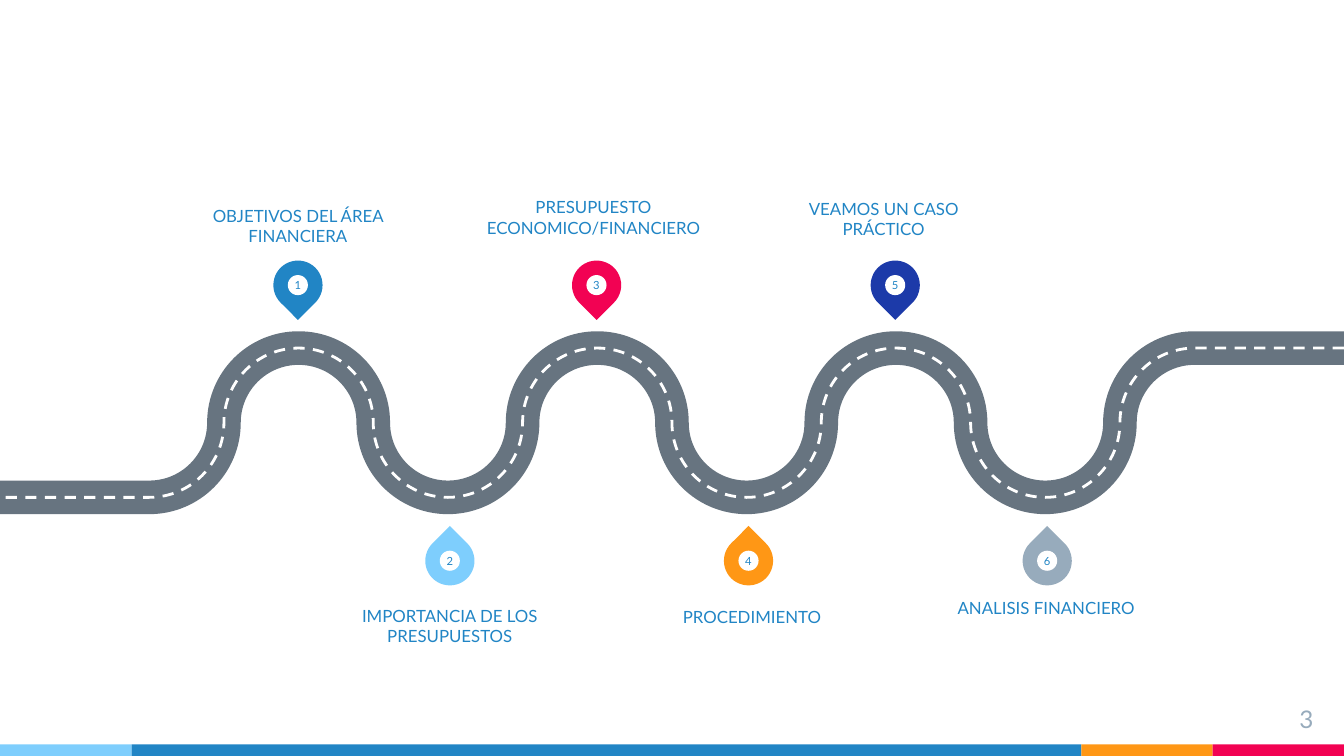
from typing import NamedTuple

from lxml.etree import Element, SubElement
from pptx import Presentation
from pptx.dml.color import RGBColor
from pptx.enum.dml import MSO_LINE
from pptx.enum.shapes import MSO_SHAPE
from pptx.enum.text import MSO_ANCHOR, PP_ALIGN
from pptx.oxml.ns import qn
from pptx.util import Cm, Pt

BLUE = RGBColor(0x21, 0x85, 0xC5)
SKY = RGBColor(0x7E, 0xCE, 0xFD)
ORANGE = RGBColor(0xFF, 0x97, 0x15)
PINK = RGBColor(0xF2, 0x02, 0x53)
NAVY = RGBColor(0x1C, 0x3A, 0xA9)
STEEL = RGBColor(0x97, 0xAB, 0xBC)
ASPHALT = RGBColor(0x67, 0x74, 0x80)
WHITE = RGBColor(0xFF, 0xFF, 0xFF)

FONT = "Lato"
WIDTH, HEIGHT = 25.4, 14.29
BAR_HEIGHT = 0.22

# Road: quarter turns between two straight ends
RADIUS = WIDTH / 18
ROAD_TOP = 6.58
TURNS = 14
BEZIER = 0.5523  # handle length of a quarter circle

# Pins
PIN, DOT = 0.93, 0.38
FIRST_PIN_X = 5.63
PIN_STEP = 2 * RADIUS


class Stop(NamedTuple):
    label: str
    color: RGBColor
    left: float
    top: float
    width: float = 3.58
    anchor: MSO_ANCHOR = MSO_ANCHOR.TOP


class Bar(NamedTuple):
    color: RGBColor
    width: float


STOPS = [
    Stop("OBJETIVOS DEL ÁREA FINANCIERA", BLUE, 3.84, 3.18, anchor=MSO_ANCHOR.BOTTOM),
    Stop("IMPORTANCIA DE LOS PRESUPUESTOS", SKY, 6.71, 10.74, anchor=MSO_ANCHOR.BOTTOM),
    Stop("PRESUPUESTO ECONOMICO/FINANCIERO", PINK, 9.17, 3.02, 4.09, MSO_ANCHOR.BOTTOM),
    Stop("PROCEDIMIENTO", ORANGE, 12.42, 11.46),
    Stop("VEAMOS UN CASO PRÁCTICO", NAVY, 14.91, 3.76),
    Stop("ANALISIS FINANCIERO", STEEL, 17.98, 11.3),
]
BARS = [Bar(SKY, 2.49), Bar(BLUE, 17.95), Bar(ORANGE, 2.48), Bar(PINK, 2.48)]


def write(sp, text: str, *, size: float, color: RGBColor = BLUE,
          align: PP_ALIGN = PP_ALIGN.CENTER, anchor: MSO_ANCHOR = MSO_ANCHOR.TOP,
          inset: float = 0) -> None:
    tf = sp.text_frame
    tf.word_wrap = True
    tf.vertical_anchor = anchor
    tf.margin_left = tf.margin_right = tf.margin_top = tf.margin_bottom = Cm(inset)
    p = tf.paragraphs[0]
    p.alignment = align
    r = p.add_run()
    r.text = text
    r.font.name = FONT
    r.font.size = Pt(size)
    r.font.color.rgb = color


def add_filled(s, kind: MSO_SHAPE, left: float, top: float, width: float,
               height: float, color: RGBColor):
    sp = s.shapes.add_shape(kind, Cm(left), Cm(top), Cm(width), Cm(height))
    sp.shadow.inherit = False
    sp.fill.solid()
    sp.fill.fore_color.rgb = color
    sp.line.fill.background()
    return sp


def add_bars(s) -> None:
    left = 0.0
    for bar in BARS:
        add_filled(s, MSO_SHAPE.RECTANGLE, left, HEIGHT - BAR_HEIGHT,
                   bar.width, BAR_HEIGHT, bar.color)
        left += bar.width


def round_turns(sp) -> None:
    """Turn each diagonal segment of the outline into a quarter circle."""
    path = sp._element.find(".//" + qn("a:path"))
    ends = [(int(pt.get("x")), int(pt.get("y"))) for pt in path.iter(qn("a:pt"))]
    segments = path.findall(qn("a:lnTo"))
    for i, (segment, (x0, y0), (x1, y1)) in enumerate(zip(segments, ends, ends[1:])):
        if y0 == y1:
            continue
        corner = (x1, y0) if i % 2 else (x0, y1)
        curve = Element(qn("a:cubicBezTo"))
        for x, y in ((x0, y0), (x1, y1)):
            SubElement(curve, qn("a:pt"),
                       x=str(round(x + BEZIER * (corner[0] - x))),
                       y=str(round(y + BEZIER * (corner[1] - y))))
        SubElement(curve, qn("a:pt"), x=str(x1), y=str(y1))
        path.replace(segment, curve)


def add_road_line(s, color: RGBColor, width: float, dash: MSO_LINE | None = None) -> None:
    levels = (0, 1, 2, 1)
    points = [(WIDTH - (2 + i) * RADIUS, ROAD_TOP + levels[i % 4] * RADIUS)
              for i in range(TURNS + 1)]
    points.append((0, points[-1][1]))
    builder = s.shapes.build_freeform(Cm(WIDTH), Cm(ROAD_TOP))
    builder.add_line_segments([(Cm(x), Cm(y)) for x, y in points], close=False)
    sp = builder.convert_to_shape()
    round_turns(sp)
    sp.shadow.inherit = False
    sp.fill.background()
    sp.line.color.rgb = color
    sp.line.width = Pt(width)
    if dash:
        sp.line.dash_style = dash


def add_stop(s, index: int, stop: Stop) -> None:
    """Draw a numbered pin and its label, odd numbers above the road."""
    above = index % 2 == 0
    x = FIRST_PIN_X + index * PIN_STEP + (0 if above else 0.05)
    y = 5.39 if above else 10.6
    pin = add_filled(s, MSO_SHAPE.TEAR, x - PIN / 2, y - PIN / 2, PIN, PIN, stop.color)
    pin.rotation = 135 if above else 315
    dot = add_filled(s, MSO_SHAPE.OVAL, x - DOT / 2, y - DOT / 2, DOT, DOT, WHITE)
    write(dot, str(index + 1), size=6, anchor=MSO_ANCHOR.MIDDLE)
    label = s.shapes.add_textbox(Cm(stop.left), Cm(stop.top), Cm(stop.width), Cm(1.47))
    write(label, stop.label, size=9, anchor=stop.anchor)


def main() -> None:
    prs = Presentation()
    prs.slide_width, prs.slide_height = Cm(WIDTH), Cm(HEIGHT)
    s = prs.slides.add_slide(prs.slide_layouts[6])

    add_bars(s)
    number = s.shapes.add_textbox(Cm(23.55), Cm(13.06), Cm(1.52), Cm(0.86))
    write(number, "3", size=13, color=STEEL, align=PP_ALIGN.RIGHT, inset=0.25)

    add_road_line(s, ASPHALT, 18)
    add_road_line(s, WHITE, 1.5, MSO_LINE.DASH)
    for index, stop in enumerate(STOPS):
        add_stop(s, index, stop)

    prs.save("out.pptx")


if __name__ == "__main__":
    main()
